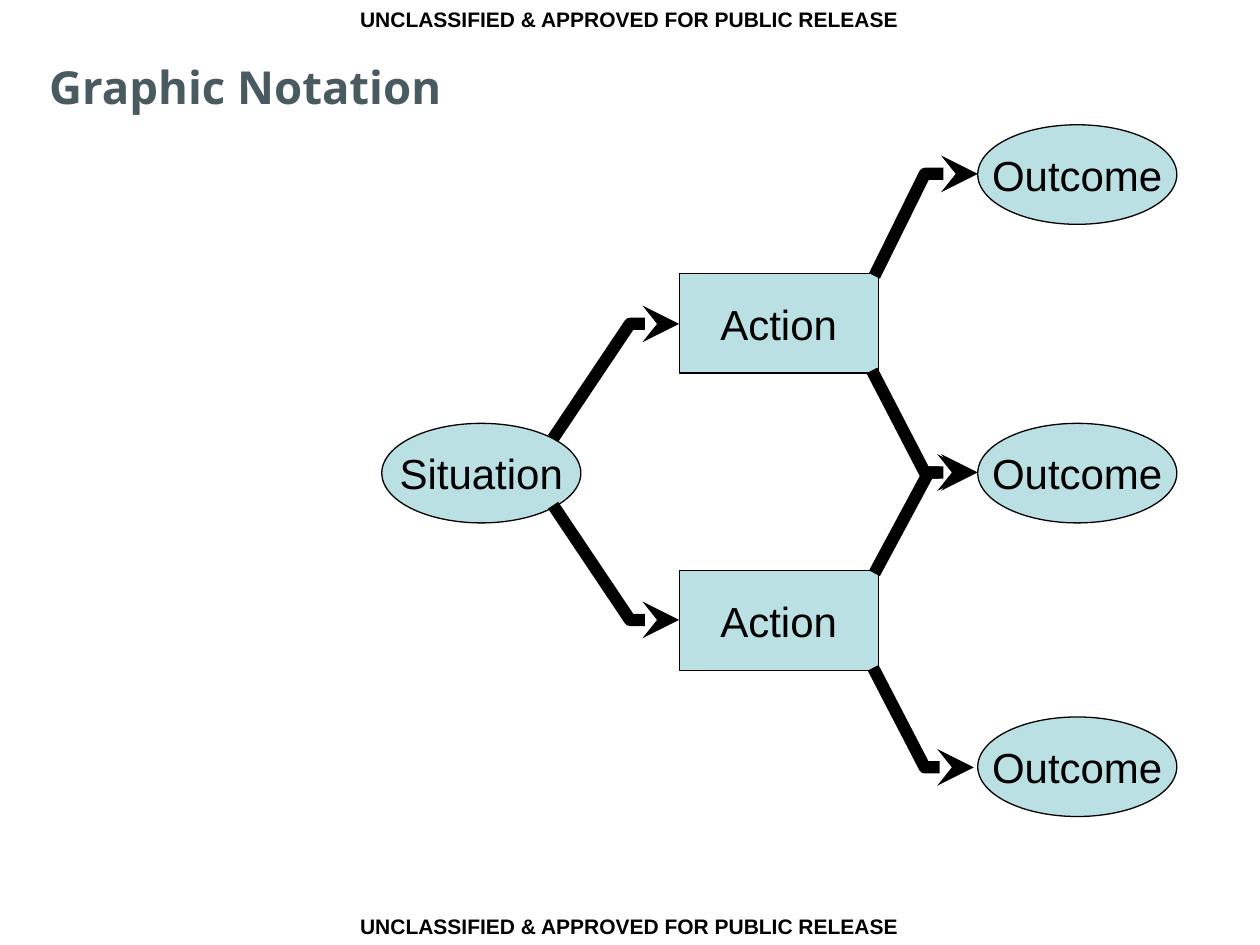
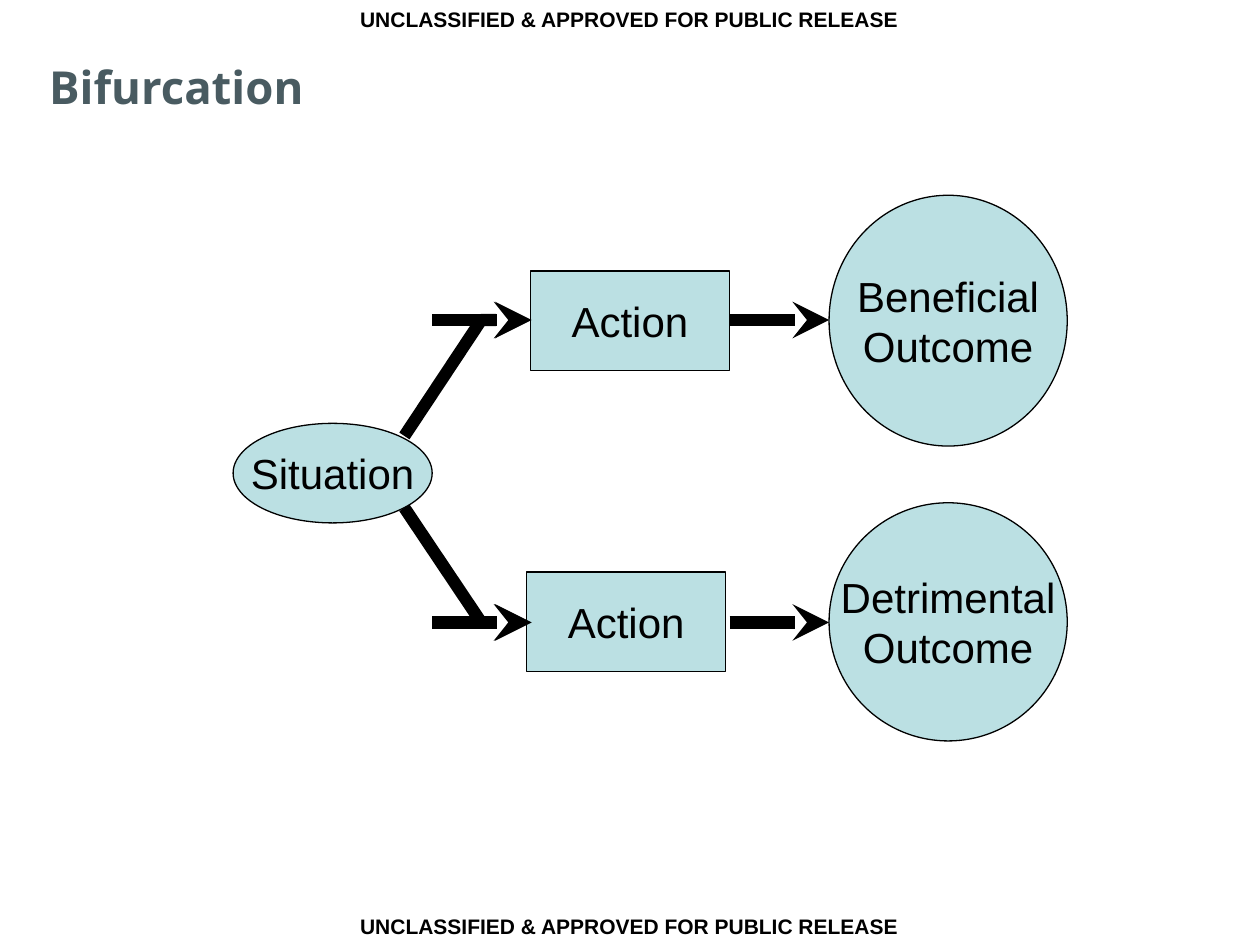
from lxml.etree import SubElement
from pptx import Presentation
from pptx.dml.color import RGBColor
from pptx.enum.shapes import MSO_CONNECTOR, MSO_SHAPE
from pptx.enum.text import MSO_ANCHOR, MSO_AUTO_SIZE, PP_ALIGN
from pptx.oxml.ns import qn
from pptx.util import Inches, Pt

COLORS = {"title": "495B61", "node": "BBE0E3", "ink": "000000"}
BANNER = "UNCLASSIFIED & APPROVED FOR PUBLIC RELEASE"
BANNER_TOPS = (0, 7.2)
NODE_SIZE = (1.58, 0.79)
TITLE_ONLY = 5


def color(name):
    return RGBColor.from_string(COLORS[name])


def add_text(paragraph, text, size, font="Arial", ink="ink", bold=False):
    run = paragraph.add_run()
    run.text = text
    run.font.size = Pt(size)
    run.font.name = font
    run.font.bold = bold
    run.font.color.rgb = color(ink)


def add_banner(slide, top):
    box = slide.shapes.add_textbox(Inches(2.76), Inches(top), Inches(4.48), Inches(0.3))
    box.text_frame.word_wrap = False
    add_text(box.text_frame.paragraphs[0], BANNER, 12, bold=True)


def format_title(title, text):
    title.left, title.top = Inches(0.39), Inches(0.42)
    title.width, title.height = Inches(7.09), Inches(0.61)
    frame = title.text_frame
    frame.margin_left = frame.margin_right = 0
    frame.vertical_anchor = MSO_ANCHOR.TOP
    frame.auto_size = MSO_AUTO_SIZE.NONE
    paragraph = frame.paragraphs[0]
    paragraph.alignment = PP_ALIGN.LEFT
    add_text(paragraph, text, 26, "Noto Sans", "title", True)


def add_diagram_slide(presentation, title):
    slide = presentation.slides.add_slide(presentation.slide_layouts[TITLE_ONLY])
    for top in BANNER_TOPS:
        add_banner(slide, top)
    format_title(slide.shapes.title, title)
    return slide


def add_node(slide, preset, lines, left, top, size=NODE_SIZE):
    width, height = size
    shape = slide.shapes.add_shape(
        preset, Inches(left), Inches(top), Inches(width), Inches(height))
    shape.shadow.inherit = False
    shape.fill.solid()
    shape.fill.fore_color.rgb = color("node")
    shape.line.color.rgb = color("ink")
    shape.line.width = Pt(0.75)
    frame = shape.text_frame
    frame.word_wrap = False
    frame.vertical_anchor = MSO_ANCHOR.MIDDLE
    for index, line in enumerate(lines):
        paragraph = frame.add_paragraph() if index else frame.paragraphs[0]
        paragraph.alignment = PP_ALIGN.CENTER
        add_text(paragraph, line, 24)


def add_oval(slide, lines, left, top, size=NODE_SIZE):
    add_node(slide, MSO_SHAPE.OVAL, lines, left, top, size)


def add_action(slide, left, top):
    add_node(slide, MSO_SHAPE.RECTANGLE, ["Action"], left, top)


def style_arrow(line):
    line.color.rgb = color("ink")
    line.width = Pt(7)
    outline = line._get_or_add_ln()
    SubElement(outline, qn("a:round"))
    SubElement(outline, qn("a:tailEnd"), type="stealth")


def add_bent_arrow(slide, start, bend, end_x):
    start_x, start_y = start
    bend_x, end_y = bend
    builder = slide.shapes.build_freeform(Inches(start_x), Inches(start_y))
    points = [(bend_x, end_y), (end_x, end_y)]
    builder.add_line_segments([(Inches(x), Inches(y)) for x, y in points], close=False)
    shape = builder.convert_to_shape()
    shape.shadow.inherit = False
    shape.fill.background()
    style_arrow(shape.line)


def add_straight_arrow(slide, start_x, end_x, y):
    connector = slide.shapes.add_connector(
        MSO_CONNECTOR.STRAIGHT, Inches(start_x), Inches(y), Inches(end_x), Inches(y))
    style_arrow(connector.line)
    SubElement(connector._element.spPr, qn("a:effectLst"))


def build_notation(presentation):
    slide = add_diagram_slide(presentation, "Graphic Notation")
    add_oval(slide, ["Situation"], 3.03, 3.36)
    for top in (2.17, 4.53):
        add_action(slide, 5.39, top)
    for top in (0.99, 3.36, 5.69):
        add_oval(slide, ["Outcome"], 7.76, top)
    arrows = [
        ((6.94, 2.19), (7.34, 1.38), 7.76),
        ((4.39, 3.48), (5, 2.57), 5.39),
        ((6.93, 5.3), (7.34, 6.09), 7.73),
        ((4.39, 4.01), (5, 4.92), 5.39),
        ((6.92, 2.94), (7.34, 3.75), 7.73),
        ((6.94, 4.55), (7.37, 3.75), 7.76),
    ]
    for start, bend, end_x in arrows:
        add_bent_arrow(slide, start, bend, end_x)


def build_bifurcation(presentation):
    slide = add_diagram_slide(presentation, "Bifurcation")
    add_action(slide, 4.21, 2.15)
    add_action(slide, 4.18, 4.54)
    add_oval(slide, ["Beneficial", "Outcome"], 6.58, 1.55, (1.89, 1.99))
    add_oval(slide, ["Detrimental", "Outcome"], 6.58, 3.99, (1.89, 1.89))
    for start_y, branch_y in ((3.46, 2.54), (4.03, 4.94)):
        add_bent_arrow(slide, (3.21, start_y), (3.82, branch_y), 4.21)
        add_straight_arrow(slide, 3.43, 4.22, branch_y)
        add_straight_arrow(slide, 5.79, 6.58, branch_y)
    add_oval(slide, ["Situation"], 1.85, 3.36)


def main():
    presentation = Presentation()
    presentation.slide_width = Inches(10)
    presentation.slide_height = Inches(7.5)
    build_notation(presentation)
    build_bifurcation(presentation)
    presentation.save("out.pptx")


if __name__ == "__main__":
    main()
